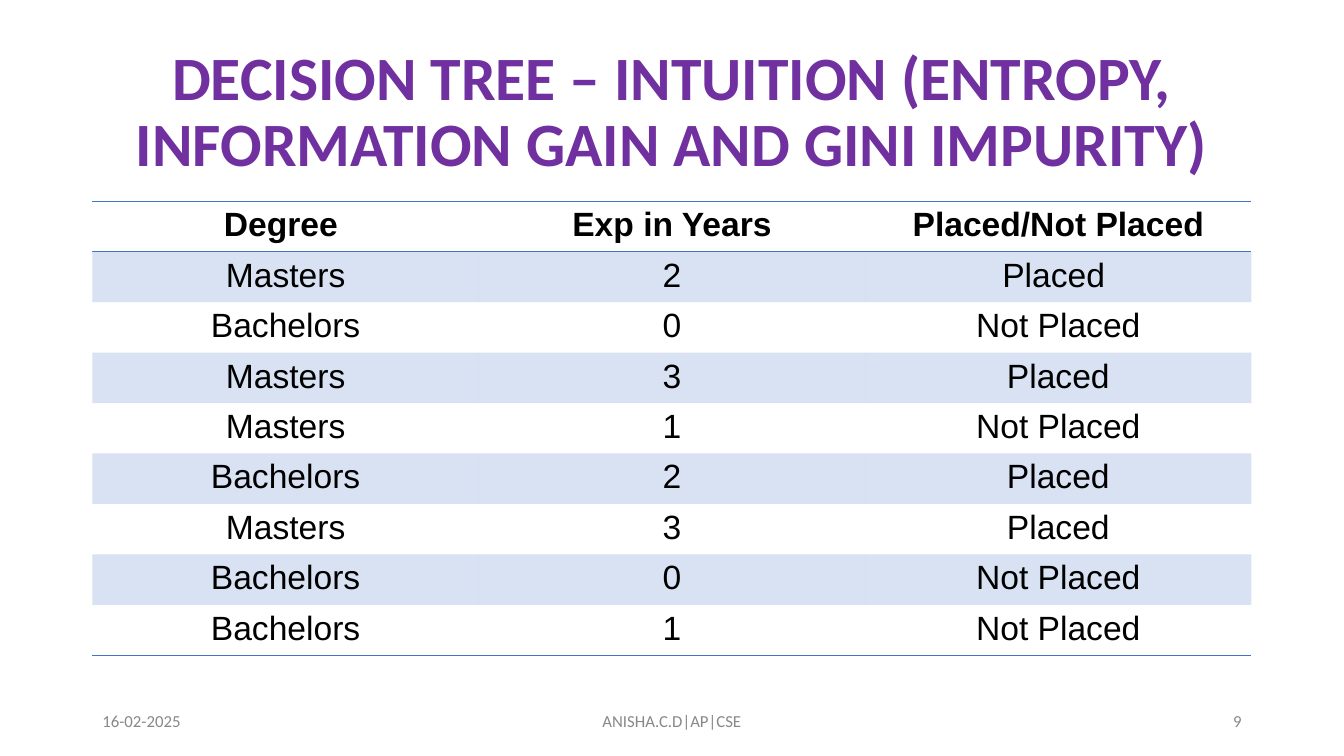
import pptx
import pptx.dml.color
import pptx.enum.text
import pptx.oxml
import pptx.oxml.ns
import pptx.util
from lxml import etree

Pt = pptx.util.Pt
qn = pptx.oxml.ns.qn
ALIGN = pptx.enum.text.PP_ALIGN
NO_STYLE = "{2D5ABB26-0587-4C30-8999-92F81FD0307C}"
ACCENT = "4472C4"
LEFT, WIDTH = 66, 828


def color(hex_value):
    return pptx.dml.color.RGBColor.from_string(hex_value)


def write(text_frame, text, alignment, hex_value, **font_values):
    """Fill the first paragraph and apply the given font values."""
    text_frame.vertical_anchor = pptx.enum.text.MSO_ANCHOR.MIDDLE
    paragraph = text_frame.paragraphs[0]
    paragraph.alignment = alignment
    run = paragraph.add_run()
    run.text = text
    for name, value in font_values.items():
        setattr(run.font, name, value)
    run.font.color.rgb = color(hex_value)
    return paragraph


presentation = pptx.Presentation()
presentation.slide_width = Pt(960)
presentation.slide_height = Pt(540)
slide = presentation.slides.add_slide(presentation.slide_layouts[6])

# Title
title = slide.shapes.add_textbox(Pt(LEFT), Pt(28.75), Pt(WIDTH), Pt(104.4))
title.text_frame.word_wrap = True
paragraph = write(
    title.text_frame,
    "DECISION TREE – INTUITION (ENTROPY, INFORMATION GAIN AND GINI IMPURITY)",
    ALIGN.CENTER, "7030A0", name="Calibri", size=Pt(44), bold=True)
paragraph.line_spacing = 0.9

# Placement table
rows = [
    ("Degree ", "Exp in Years", "Placed/Not Placed"),
    ("Masters", "2", "Placed "),
    ("Bachelors", "0", "Not Placed"),
    ("Masters", "3", "Placed"),
    ("Masters", "1", "Not Placed"),
    ("Bachelors", "2", "Placed"),
    ("Masters", "3", "Placed"),
    ("Bachelors", "0", "Not Placed"),
    ("Bachelors", "1", "Not Placed"),
]
row_height = 29.2
table = slide.shapes.add_table(
    len(rows), 3, Pt(LEFT), Pt(143.75), Pt(WIDTH), Pt(row_height * len(rows))).table
table.first_row = False
table.horz_banding = False
table._tbl.tblPr.find(qn("a:tableStyleId")).text = NO_STYLE

for column in table.columns:
    column.width = Pt(WIDTH / 3)

borders = {0: ("a:lnT", "a:lnB"), len(rows) - 1: ("a:lnB",)}
for row_index, values in enumerate(rows):
    table.rows[row_index].height = Pt(row_height)
    for column_index, value in enumerate(values):
        cell = table.cell(row_index, column_index)
        write(cell.text_frame, value, ALIGN.CENTER, "000000",
              name="Arial", size=Pt(24), bold=row_index == 0)
        properties = cell._tc.get_or_add_tcPr()
        for side in borders.get(row_index, ()):
            line = etree.SubElement(properties, qn(side), w=str(Pt(1)))
            line_fill = etree.SubElement(line, qn("a:solidFill"))
            etree.SubElement(line_fill, qn("a:srgbClr"), val=ACCENT)
        if row_index % 2:
            cell.fill.solid()
            cell.fill.fore_color.rgb = color(ACCENT)
            fill_color = properties.find(qn("a:solidFill")).find(qn("a:srgbClr"))
            etree.SubElement(fill_color, qn("a:alpha"), val="20000")
        else:
            cell.fill.background()

# Footer
footers = [
    (66, 216, "16-02-2025", ALIGN.LEFT),
    (318, 324, "ANISHA.C.D|AP|CSE", ALIGN.CENTER),
    (678, 216, "9", ALIGN.RIGHT),
]
for left, width, text, alignment in footers:
    footer = slide.shapes.add_textbox(Pt(left), Pt(500.5), Pt(width), Pt(28.75))
    footer.text_frame.word_wrap = True
    write(footer.text_frame, text, alignment, "888888", name="Calibri", size=Pt(12))

presentation.save("out.pptx")
